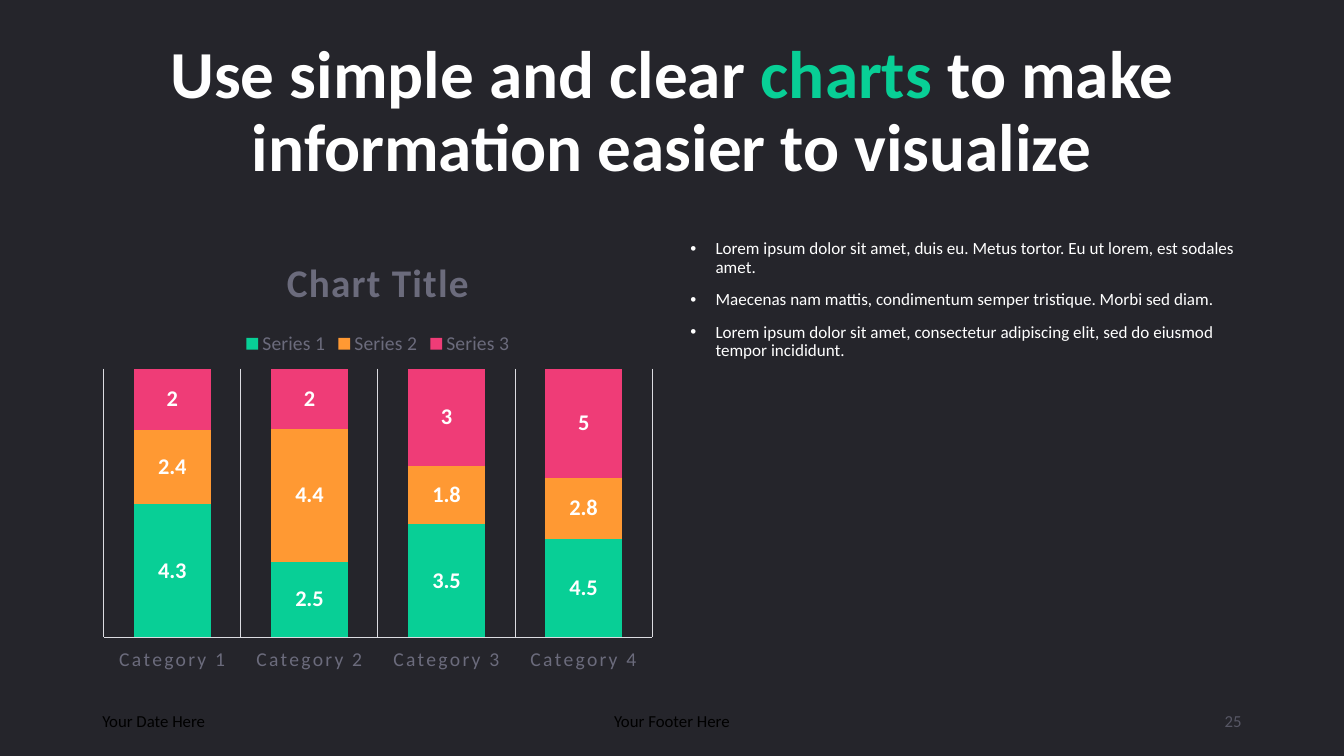
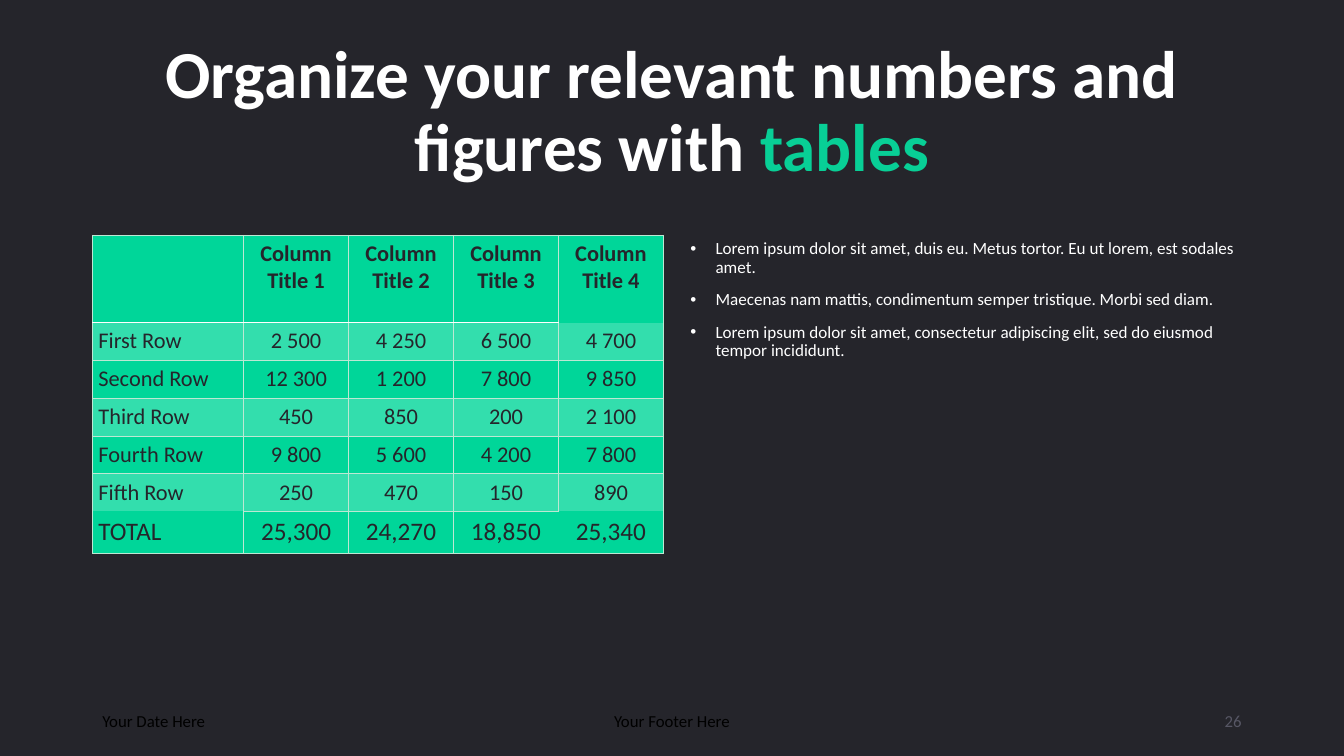
from dataclasses import dataclass

from lxml import etree
from pptx import Presentation
from pptx.chart.data import CategoryChartData
from pptx.dml.color import RGBColor
from pptx.enum.chart import XL_CHART_TYPE, XL_LABEL_POSITION, XL_LEGEND_POSITION, XL_TICK_LABEL_POSITION, XL_TICK_MARK
from pptx.enum.text import MSO_ANCHOR, MSO_AUTO_SIZE, PP_ALIGN
from pptx.oxml.ns import qn
from pptx.util import Emu, Inches, Pt

STACKED = XL_CHART_TYPE.COLUMN_STACKED_100
LABEL_MID = XL_LABEL_POSITION.CENTER
KEY_TOP = XL_LEGEND_POSITION.TOP
TICK_LOW = XL_TICK_LABEL_POSITION.LOW
NO_TICK = XL_TICK_MARK.NONE
MIDDLE, TOP = MSO_ANCHOR.MIDDLE, MSO_ANCHOR.TOP
NO_FIT = MSO_AUTO_SIZE.NONE
LEFT, CENTER, RIGHT = PP_ALIGN.LEFT, PP_ALIGN.CENTER, PP_ALIGN.RIGHT

FACE = "Calibri"
DARK, WHITE, BLACK = "25252B", "FFFFFF", "000000"
GREEN, ORANGE, PINK = "08CF96", "FF9933", "EF3C77"
GRAY, DIM, RULE = "6B6B7C", "575765", "DCDCE1"
CELL, BAND, EDGE = "00D699", "33DEAD", "BCE8D3"
UNIT = Inches(1) // 12


@dataclass(frozen=True)
class Box:
    col: float
    row: float
    cols: float
    rows: float

    def place(self) -> tuple[Emu, ...]:
        return tuple(Emu(round(n * UNIT)) for n in (self.col, self.row, self.cols, self.rows))


@dataclass(frozen=True)
class Foot:
    text: str
    box: Box
    align: PP_ALIGN
    color: str


@dataclass(frozen=True)
class Series:
    name: str
    values: tuple[float, ...]
    color: str


HEAD = Box(11, 4.8, 138, 17.4)
MAIN = Box(11, 28, 68, 53)
SIDE = Box(81, 28, 68, 53)
FEET = (
    Foot("Your Date Here", Box(11, 83.4, 36, 4.8), LEFT, BLACK),
    Foot("Your Footer Here", Box(53, 83.4, 54, 4.8), CENTER, BLACK),
)
PAGE_BOX = Box(113, 83.4, 36, 4.8)
POINTS = (
    "Lorem ipsum dolor sit amet, duis eu. Metus tortor. Eu ut lorem, est sodales amet.",
    "Maecenas nam mattis, condimentum semper tristique. Morbi sed diam.",
    "Lorem ipsum dolor sit amet, consectetur adipiscing elit, sed do eiusmod tempor incididunt.",
)
SERIES = (
    Series("Series 1", (4.3, 2.5, 3.5, 4.5), GREEN),
    Series("Series 2", (2.4, 4.4, 1.8, 2.8), ORANGE),
    Series("Series 3", (2, 2, 3, 5), PINK),
)
ROWS = (
    ("", *(f"Column Title {n}" for n in range(1, 5))),
    ("First Row", "2 500", "4 250", "6 500", "4 700"),
    ("Second Row", "12 300", "1 200", "7 800", "9 850"),
    ("Third Row", "450", "850", "200", "2 100"),
    ("Fourth Row", "9 800", "5 600", "4 200", "7 800"),
    ("Fifth Row", "250", "470", "150", "890"),
    ("TOTAL", "25,300", "24,270", "18,850", "25,340"),
)
WIDTHS = (18, *(12.5,) * 4)
HEIGHTS = (10.4, *(4.5,) * 5, 5)
BARE = {(0, 4, "B"), (1, 4, "T"), (5, 0, "B"), (6, 0, "T"),
        (5, 4, "B"), (6, 4, "T"), (6, 3, "R"), (6, 4, "L")}


def rgb(code: str) -> RGBColor:
    return RGBColor.from_string(code)


def style(font, size: float, color: str, bold: bool = False) -> None:
    font.name, font.size, font.bold = FACE, Pt(size), bold
    font.color.rgb = rgb(color)


def add_text(slide, box: Box, text: str, size: float, color: str,
             align: PP_ALIGN = LEFT, anchor: MSO_ANCHOR = MIDDLE):
    frame = slide.shapes.add_textbox(*box.place()).text_frame
    frame.word_wrap = True
    frame.vertical_anchor = anchor
    frame.text = text
    for para in frame.paragraphs:
        para.alignment = align
        for run in para.runs:
            style(run.font, size, color)
    return frame


def add_points(slide) -> None:
    frame = add_text(slide, SIDE, "\n".join(POINTS), 12.2, WHITE, anchor=TOP)
    for para in frame.paragraphs:
        para.line_spacing = 0.9
        para.space_before = Pt(10)
        props = para._p.get_or_add_pPr()
        props.set("marL", str(Inches(0.25)))
        props.set("indent", str(-Inches(0.25)))
        tint = etree.SubElement(props, qn("a:buClr"))
        etree.SubElement(tint, qn("a:srgbClr"), val=WHITE)
        etree.SubElement(props, qn("a:buFont"), typeface="Arial")
        etree.SubElement(props, qn("a:buChar"), char="•")


def add_page(deck, number: int, *parts: tuple[str, str]):
    slide = deck.slides.add_slide(deck.slide_layouts[5])
    title = slide.shapes.title
    title.left, title.top, title.width, title.height = HEAD.place()
    frame = title.text_frame
    frame.auto_size = NO_FIT
    frame.word_wrap = True
    frame.vertical_anchor = MIDDLE
    para = frame.paragraphs[0]
    para.alignment = CENTER
    para.line_spacing = 0.9
    for text, color in parts:
        run = para.add_run()
        run.text = text
        style(run.font, 48, color, True)
    add_points(slide)
    for foot in (*FEET, Foot(str(number), PAGE_BOX, RIGHT, DIM)):
        add_text(slide, foot.box, foot.text, 12, foot.color, foot.align)
    return slide


def rule(line) -> None:
    line.color.rgb = rgb(RULE)
    line.width = Pt(0.75)


def add_bars(slide) -> None:
    data = CategoryChartData()
    data.categories = [f"Category {n}" for n in range(1, 5)]
    for item in SERIES:
        data.add_series(item.name, item.values)
    chart = slide.shapes.add_chart(STACKED, *MAIN.place(), data).chart
    chart.font.name, chart.font.size = "Arial", Pt(10)
    chart.has_title = True
    chart.chart_title.text_frame.text = "Chart Title"
    chart.chart_title.include_in_layout = False
    head = chart.chart_title.text_frame.paragraphs[0].runs[0]
    style(head.font, 28, GRAY, True)
    head._r.get_or_add_rPr().set("spc", "100")
    chart.has_legend = True
    chart.legend.position = KEY_TOP
    chart.legend.include_in_layout = False
    style(chart.legend.font, 14, GRAY)

    axis = chart.category_axis
    axis.major_tick_mark = axis.minor_tick_mark = NO_TICK
    axis.tick_label_position = TICK_LOW
    axis.has_major_gridlines = True
    rule(axis.major_gridlines.format.line)
    rule(axis.format.line)
    style(axis.tick_labels.font, 14, GRAY)
    for props in chart.element.xpath(".//c:catAx/c:txPr//a:defRPr"):
        props.set("spc", "150")
    chart.value_axis.visible = False
    chart.value_axis.has_major_gridlines = False

    plot = chart.plots[0]
    plot.vary_by_categories = False
    plot.gap_width, plot.overlap = 79, 100
    for bar, item in zip(plot.series, SERIES):
        bar.format.fill.solid()
        bar.format.fill.fore_color.rgb = rgb(item.color)
        labels = bar.data_labels
        labels.show_value = True
        labels.position = LABEL_MID
        style(labels.font, 16, WHITE, True)


def add_edge(cell, side: str, color: str, width: float) -> None:
    props = cell._tc.get_or_add_tcPr()
    line = etree.SubElement(props, qn(f"a:ln{side}"), w=str(Pt(width)))
    if color:
        fill = etree.SubElement(line, qn("a:solidFill"))
        etree.SubElement(fill, qn("a:srgbClr"), val=color)
    else:
        etree.SubElement(line, qn("a:noFill"))


def edge(row: int, col: int, side: str) -> tuple[str, float]:
    if (row, col, side) in BARE:
        return "", 0
    if (row, side) in ((0, "B"), (1, "T")):
        return WHITE, 1.47
    return EDGE, 0.5


def add_grid(slide) -> None:
    box = Box(MAIN.col, MAIN.row, sum(WIDTHS), sum(HEIGHTS))
    table = slide.shapes.add_table(len(ROWS), len(WIDTHS), *box.place()).table
    for column, width in zip(table.columns, WIDTHS):
        column.width = Emu(round(width * UNIT))
    last = len(ROWS) - 1
    for row, texts in enumerate(ROWS):
        table.rows[row].height = Emu(round(HEIGHTS[row] * UNIT))
        for col, text in enumerate(texts):
            cell = table.cell(row, col)
            cell.margin_left = cell.margin_right = Inches(0.06)
            cell.margin_top = cell.margin_bottom = Inches(0.05)
            for side in "LRTB":
                add_edge(cell, side, *edge(row, col, side))
            cell.fill.solid()
            cell.fill.fore_color.rgb = rgb(BAND if row % 2 else CELL)
            cell.text_frame.text = text
            para = cell.text_frame.paragraphs[0]
            para.alignment = CENTER if col else LEFT
            for run in para.runs:
                style(run.font, 18 if row == last else 16, DARK, row == 0)


def main() -> None:
    deck = Presentation()
    deck.slide_width, deck.slide_height = 160 * UNIT, 90 * UNIT
    back = deck.slide_master.background.fill
    back.solid()
    back.fore_color.rgb = rgb(DARK)
    add_bars(add_page(deck, 25, ("Use simple and clear ", WHITE), ("charts", GREEN),
                      (" to make information easier to visualize", WHITE)))
    add_grid(add_page(deck, 26, ("Organize your relevant numbers and figures with ", WHITE),
                      ("tables", GREEN)))
    deck.save("out.pptx")


if __name__ == "__main__":
    main()
